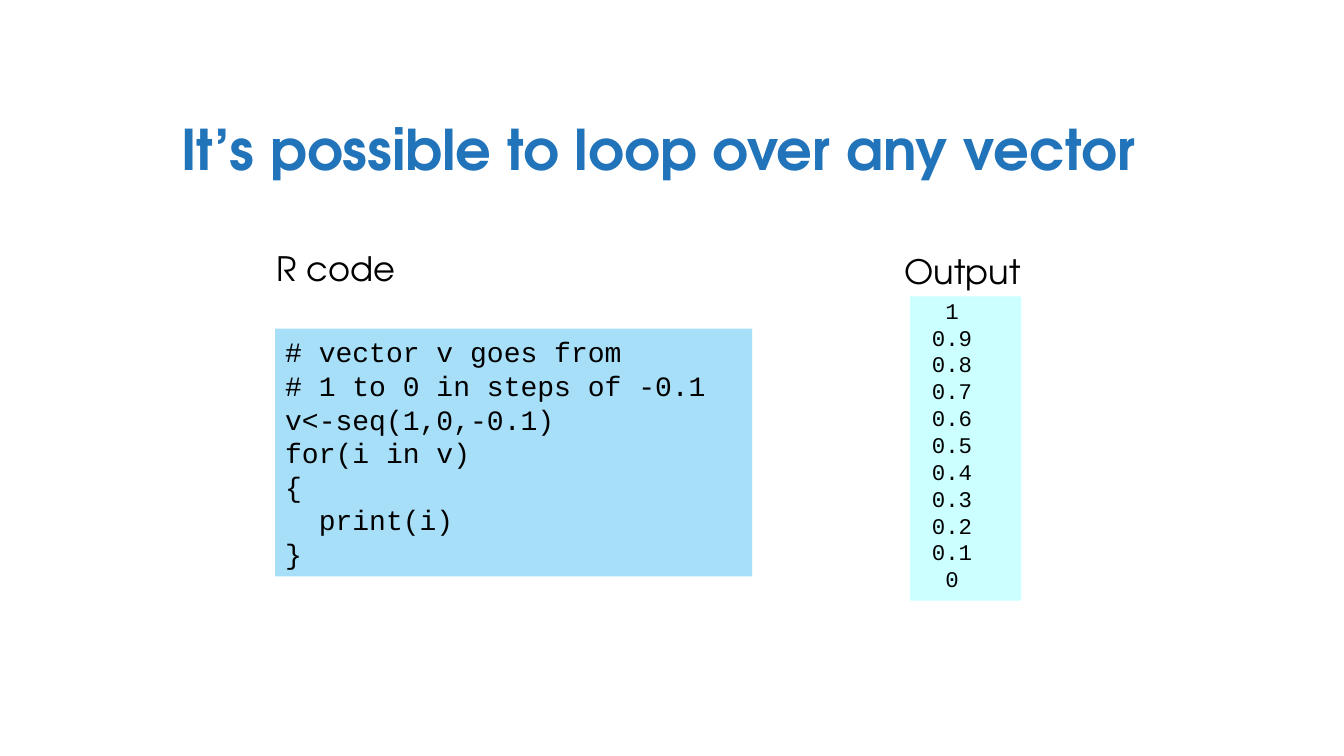
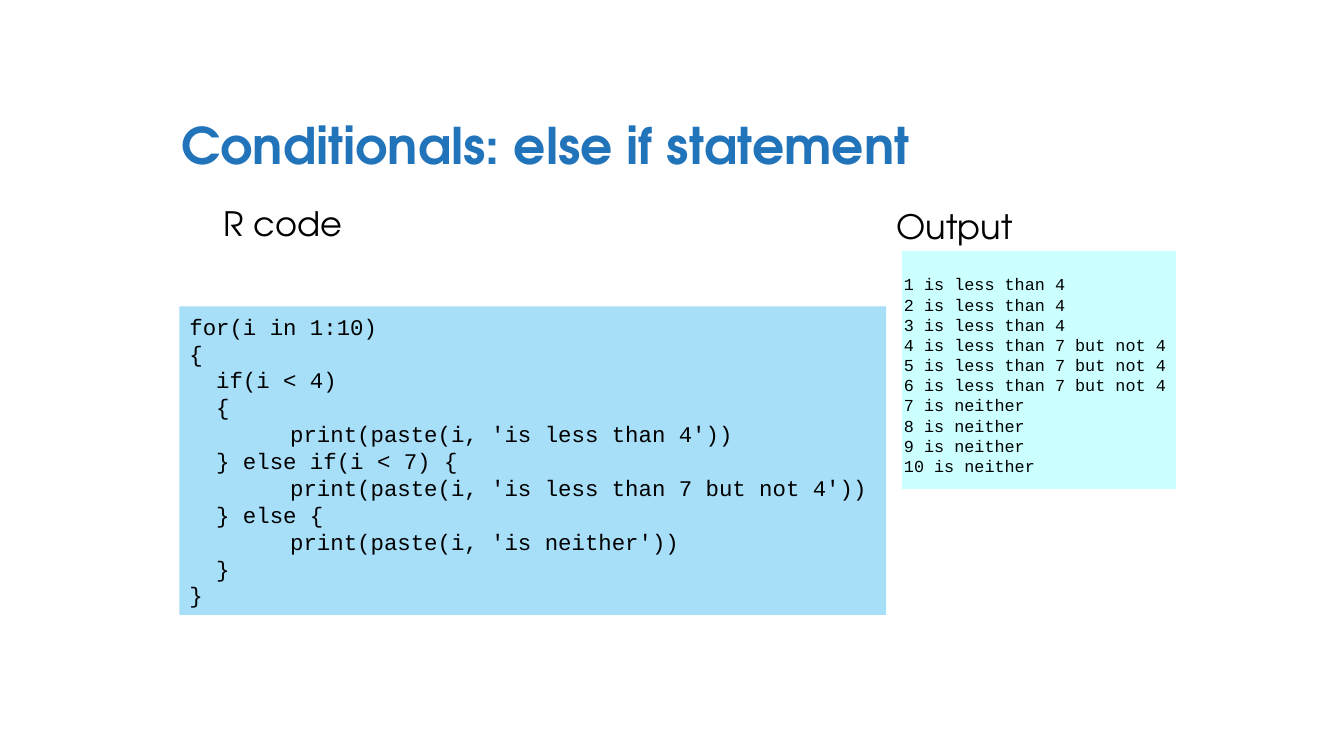
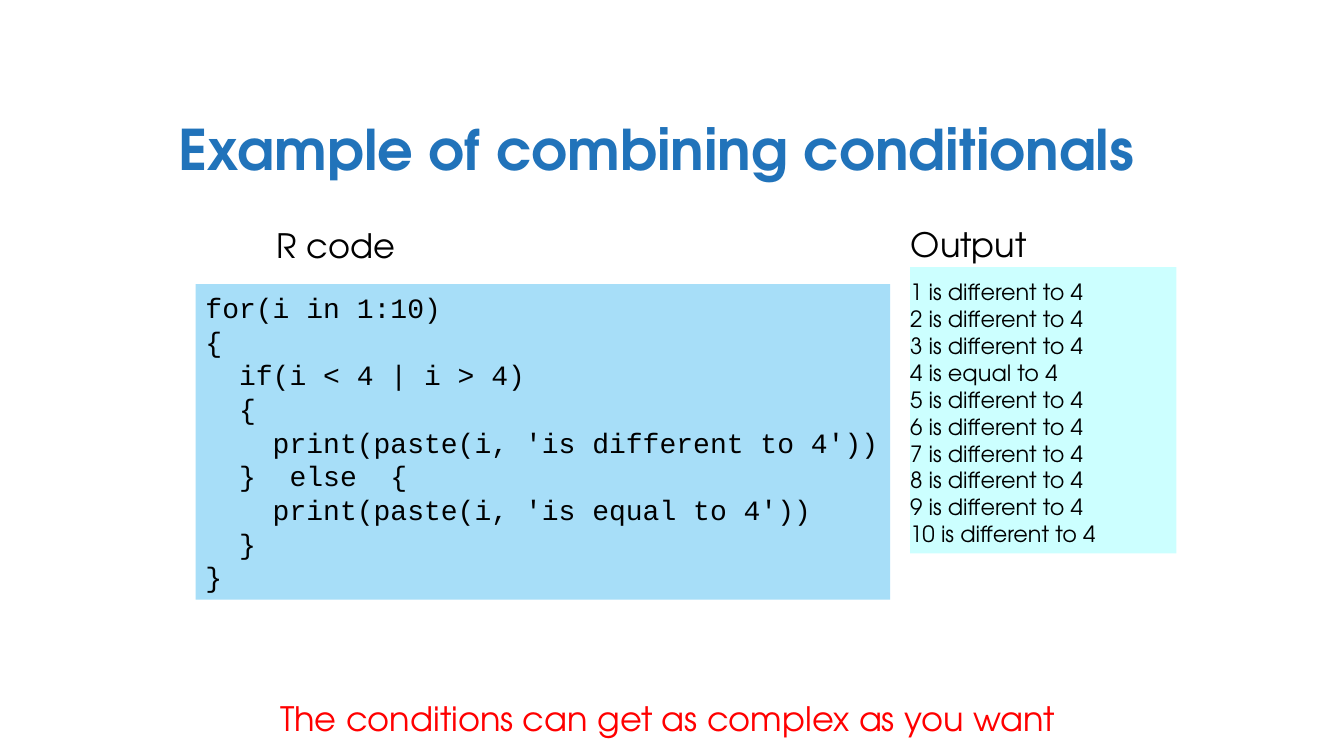
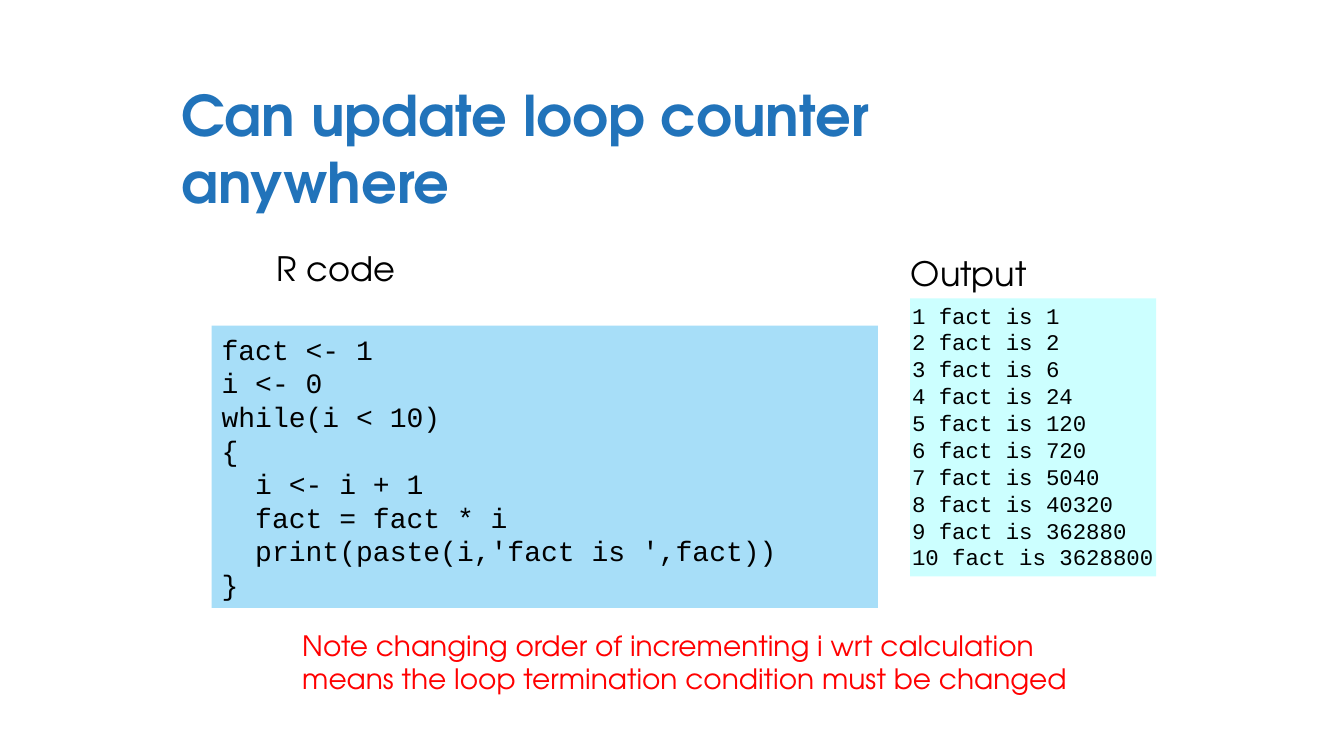
import pptx
import pptx.dml.color
import pptx.enum.shapes
import pptx.enum.text
import pptx.util

Pt = pptx.util.Pt
ALIGN = pptx.enum.text.PP_ALIGN
COLOURS = {
    "title": "2173BA",
    "text": "000000",
    "remark": "FF0000",
    "code": "A7DEF8",
    "output": "CCFFFF",
}
DISPLAY, MONO = "TeX Gyre Adventor", "Courier New"
TITLE_TOP, TITLE_HEIGHT = 60.5, 90
CODE_LABEL_SIZE = (100, 36)
OUTPUT_LABEL_SIZE = (98, 36)

STYLES = {
    "title": {"name": DISPLAY, "size": Pt(40), "bold": True},
    "label": {"name": DISPLAY, "size": Pt(24)},
    "remark": {"name": DISPLAY, "size": Pt(24)},
    "code": {"name": MONO, "size": Pt(20)},
    "output": {"name": MONO, "size": Pt(16)},
}

SLIDES = [
    {
        "title": "It’s possible to loop over any vector",
        "title_span": (122.4, 708.5),
        "code_label_at": (190, 173.5),
        "code_box": (196.6, 234.7, 340.6, 177.1),
        "code": [
            "# vector v goes from",
            "# 1 to 0 in steps of -0.1",
            "v<-seq(1,0,-0.1)",
            "for(i in v)",
            "{",
            "  print(i)",
            "}",
        ],
        "output_label_at": (638.6, 175.7),
        "output_panel": (650.2, 211.7, 79.2, 217.4),
        "output_box": (658.1, 207.4, 43.9, 220.3),
        "output_style": {"alignment": ALIGN.CENTER},
        "output": ["1", "0.9", "0.8", "0.7", "0.6", "0.5",
                   "0.4", "0.3", "0.2", "0.1", "0"],
    },
    {
        "title": "Conditionals: else if statement",
        "title_span": (122.4, 612),
        "title_style": {"size": Pt(36), "line_spacing": 0.9},
        "code_label_at": (152, 141),
        "code_box": (128.2, 218.9, 504.7, 220.3),
        "code_style": {"size": Pt(16)},
        "code": [
            "for(i in 1:10)",
            "{",
            "  if(i < 4)",
            "  {",
            "    \tprint(paste(i, 'is less than 4'))",
            "  } else if(i < 7) {",
            "    \tprint(paste(i, 'is less than 7 but not 4'))",
            "  } else {",
            "    \tprint(paste(i, 'is neither'))",
            "  }",
            "}",
        ],
        "output_label_at": (632.9, 143.3),
        "output_panel": (644.4, 179.3, 195.8, 169.9),
        "output_box": (638.6, 191.5, 212.4, 152.6),
        "output_style": {"size": Pt(12)},
        "output": [
            "1 is less than 4",
            "2 is less than 4",
            "3 is less than 4",
            "4 is less than 7 but not 4",
            "5 is less than 7 but not 4",
            "6 is less than 7 but not 4",
            "7 is neither",
            "8 is neither",
            "9 is neither",
            "10 is neither",
        ],
    },
    {
        "title": "Example of combining conditionals",
        "title_span": (120.2, 703.4),
        "code_label_at": (190, 157),
        "code_box": (139.7, 203, 496.1, 225.4),
        "code": [
            "for(i in 1:10)",
            "{",
            "  if(i < 4 | i > 4)",
            "  {",
            "    print(paste(i, 'is different to 4'))",
            "  }  else  {",
            "    print(paste(i, 'is equal to 4'))",
            "  }",
            "}",
        ],
        "output_label_at": (643, 156.2),
        "output_panel": (650.2, 190.8, 190.1, 204.5),
        "output_box": (643, 194.4, 150.5, 200.9),
        "output_style": {"name": DISPLAY},
        "output": [
            "1 is different to 4",
            "2 is different to 4",
            "3 is different to 4",
            "4 is equal to 4",
            "5 is different to 4",
            "6 is different to 4",
            "7 is different to 4",
            "8 is different to 4",
            "9 is different to 4",
            "10 is different to 4",
        ],
        "remark_box": (193, 494.6, 575.3, 36),
        "remark": ["The conditions can get as complex as you want"],
    },
    {
        "title": "Can update loop counter anywhere",
        "title_span": (122.4, 708.5),
        "code_label_at": (190, 173.5),
        "code_box": (151.2, 232.6, 475.9, 201.6),
        "code": [
            "fact <- 1",
            "i <- 0",
            "while(i < 10)",
            "{",
            "  i <- i + 1",
            "  fact = fact * i",
            "  print(paste(i,'fact is ',fact))",
            "}",
        ],
        "output_label_at": (643, 177),
        "output_panel": (650.2, 213.1, 175.7, 198.7),
        "output_box": (644.4, 211, 189.4, 200.9),
        "output": [
            "1 fact is 1",
            "2 fact is 2",
            "3 fact is 6",
            "4 fact is 24",
            "5 fact is 120",
            "6 fact is 720",
            "7 fact is 5040",
            "8 fact is 40320",
            "9 fact is 362880",
            "10 fact is 3628800",
        ],
        "remark_box": (208.8, 445, 565.9, 55.4),
        "remark_style": {"size": Pt(20)},
        "remark": [
            "Note changing order of incrementing i wrt calculation",
            "means the loop termination condition must be changed",
        ],
    },
]


def rgb(role):
    return pptx.dml.color.RGBColor.from_string(COLOURS[role])


def write(shape, lines, style, colour="text", wrap=False, grow=True):
    fit = pptx.enum.text.MSO_AUTO_SIZE
    frame_format = {
        "word_wrap": wrap,
        "vertical_anchor": pptx.enum.text.MSO_ANCHOR.MIDDLE,
        "auto_size": fit.SHAPE_TO_FIT_TEXT if grow else fit.NONE,
    }
    for key, value in frame_format.items():
        setattr(shape.text_frame, key, value)
    for number, line in enumerate(lines):
        paragraph = (shape.text_frame.add_paragraph() if number
                     else shape.text_frame.paragraphs[0])
        run = paragraph.add_run()
        run.text = line
        run.font.color.rgb = rgb(colour)
        for key, value in {"alignment": ALIGN.LEFT, **style}.items():
            on_paragraph = key in ("alignment", "line_spacing")
            setattr(paragraph if on_paragraph else run.font, key, value)


def add_text(slide, box, lines, style, **options):
    shape = slide.shapes.add_textbox(*map(Pt, box))
    write(shape, lines, style, **options)


def add_panel(slide, box, role):
    panel = slide.shapes.add_shape(
        pptx.enum.shapes.MSO_SHAPE.RECTANGLE, *map(Pt, box))
    panel.shadow.inherit = False
    panel.fill.solid()
    panel.fill.fore_color.rgb = rgb(role)
    panel.line.fill.background()
    return panel


def build_slide(deck, content):
    slide = deck.slides.add_slide(deck.slide_layouts[6])

    def style(role):
        return {**STYLES[role], **content.get(role + "_style", {})}

    left, width = content["title_span"]
    add_text(slide, (left, TITLE_TOP, width, TITLE_HEIGHT), [content["title"]],
             style("title"), colour="title", wrap=True, grow=False)

    label_style = {**style("label"), "alignment": ALIGN.CENTER}
    for label, corner, size in (
            ("R code", content["code_label_at"], CODE_LABEL_SIZE),
            ("Output", content["output_label_at"], OUTPUT_LABEL_SIZE)):
        add_text(slide, corner + size, [label], label_style)

    code_panel = add_panel(slide, content["code_box"], "code")
    write(code_panel, content["code"], style("code"), wrap=True)

    add_panel(slide, content["output_panel"], "output")
    add_text(slide, content["output_box"], content["output"], style("output"))

    if "remark" in content:
        add_text(slide, content["remark_box"], content["remark"],
                 style("remark"), colour="remark")


def main():
    deck = pptx.Presentation()
    deck.slide_width, deck.slide_height = Pt(960), Pt(540)
    for content in SLIDES:
        build_slide(deck, content)
    deck.save("out.pptx")


if __name__ == "__main__":
    main()
